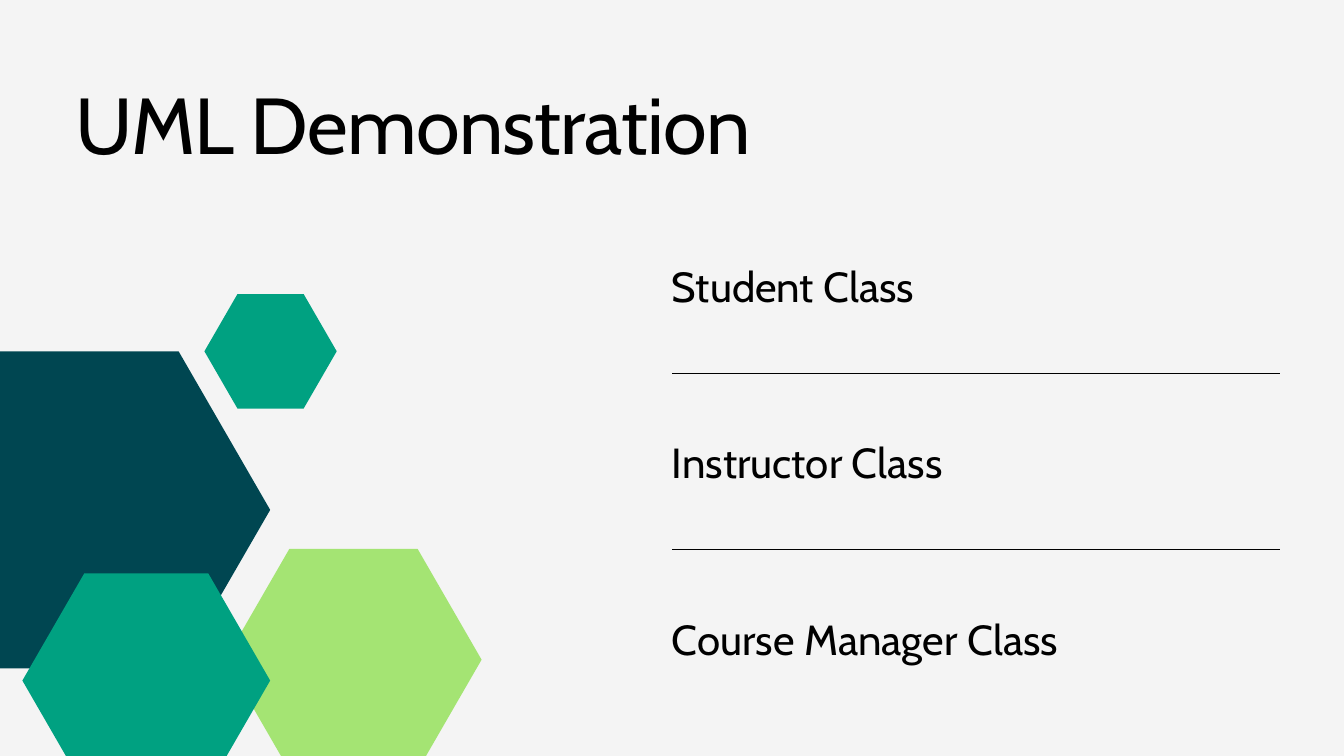
import math

import pptx
import pptx.dml.color
import pptx.enum.shapes
import pptx.enum.text
import pptx.oxml.ns
import pptx.util

PX = 9525
FONT = "Cabin"
COLORS = {
    "background": "F4F4F4",
    "ink": "000000",
    "petrol": "004651",
    "lime": "A4E473",
    "green": "00A181",
}
HEXAGONS = [
    (-137, 502, 523, "petrol"),
    (322, 784, 366, "lime"),
    (292, 420, 189, "green"),
    (32, 819, 354, "green"),
]
CLASSES = ["Student Class", "Instructor Class", "Course Manager Class"]


def px(length):
    """Turn whole pixels into EMU."""
    return pptx.util.Emu(round(length * PX))


def color(name):
    """Look up a palette colour."""
    return pptx.dml.color.RGBColor.from_string(COLORS[name])


def write(box, text, *, size, leading, spacing=0, ink="ink"):
    """Fill a text shape with one formatted paragraph."""
    frame = box.text_frame
    frame.word_wrap = True
    frame.auto_size = pptx.enum.text.MSO_AUTO_SIZE.NONE
    frame.vertical_anchor = pptx.enum.text.MSO_ANCHOR.TOP
    frame.margin_left = frame.margin_right = 0
    frame.margin_top = frame.margin_bottom = 0
    para = frame.paragraphs[0]
    para.alignment = pptx.enum.text.PP_ALIGN.LEFT
    para.line_spacing = pptx.util.Pt(leading)
    para.space_before = pptx.util.Pt(0)
    span = para.add_run()
    span.text = text
    span.font.name = FONT
    span.font.size = pptx.util.Pt(size)
    span.font.color.rgb = color(ink)
    if spacing:
        span.font._element.set("spc", str(round(spacing * 100)))


def add_title(page, left, top, width, height):
    """Place and format the slide title."""
    title = page.shapes.title
    title.left, title.top = px(left), px(top)
    title.width, title.height = px(width), px(height)
    write(title, "UML Demonstration", size=85, leading=102, spacing=-0.8)


def add_hexagon(page, left, top, width, fill):
    """Draw a regular hexagon with flat top and bottom edges."""
    height = width * math.sqrt(3) / 2
    hexagon = page.shapes.add_shape(
        pptx.enum.shapes.MSO_SHAPE.HEXAGON, px(left), px(top), px(width), px(height)
    )
    hexagon.adjustments[0] = width / height / 4
    hexagon.shadow.inherit = False
    hexagon.fill.solid()
    hexagon.fill.fore_color.rgb = color(fill)
    hexagon.line.fill.background()


def add_divider(page, left, top, width):
    """Draw a thin horizontal rule."""
    rule = page.shapes.add_connector(
        pptx.enum.shapes.MSO_CONNECTOR.STRAIGHT,
        px(left), px(top), px(left + width), px(top),
    )
    rule.line.color.rgb = color("ink")
    rule.line.width = pptx.util.Pt(0.75)
    properties = rule._element.spPr
    properties.append(properties.makeelement(pptx.oxml.ns.qn("a:effectLst"), {}))


def add_class_list(page, left, top, width, pitch=252, text_height=71, rule_offset=161):
    """Stack the class names with a rule between neighbours."""
    for index, name in enumerate(CLASSES):
        row_top = top + index * pitch
        box = page.shapes.add_textbox(px(left), px(row_top), px(width), px(text_height))
        write(box, name, size=45, leading=54)
        if index < len(CLASSES) - 1:
            add_divider(page, left, row_top + rule_offset, width)


def main():
    """Build and save the slide."""
    deck = pptx.Presentation()
    deck.slide_width, deck.slide_height = px(1920), px(1080)
    page = deck.slides.add_slide(deck.slide_layouts.get_by_name("Title Only"))
    page.background.fill.solid()
    page.background.fill.fore_color.rgb = color("background")
    add_title(page, 108, 108, 1029, 135)
    for left, top, width, fill in HEXAGONS:
        add_hexagon(page, left, top, width, fill)
    add_class_list(page, 960, 372, 869)
    deck.save("out.pptx")


if __name__ == "__main__":
    main()
